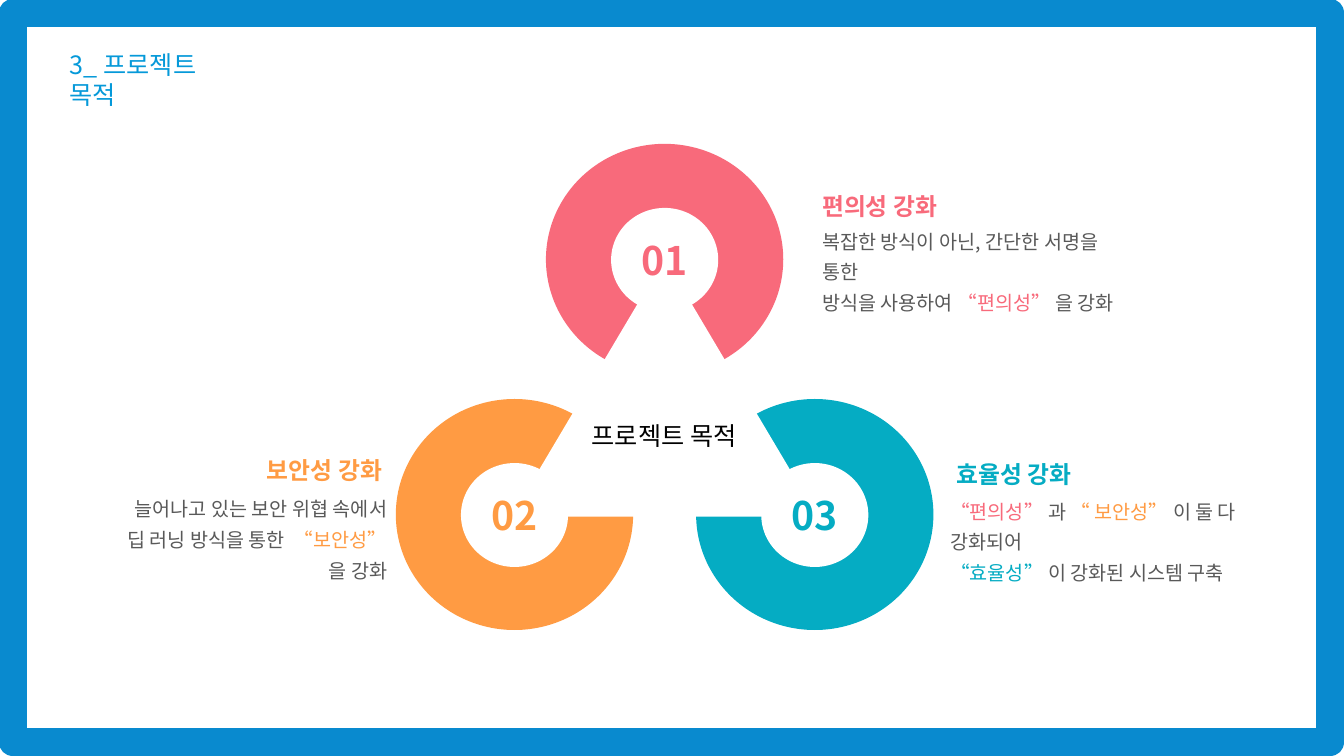
from lxml import etree
from pptx import Presentation
from pptx.dml.color import RGBColor as RGB
from pptx.enum.shapes import MSO_SHAPE as Shape
from pptx.enum.text import MSO_ANCHOR as Anchor, MSO_AUTO_SIZE as Auto, PP_ALIGN as Align
from pptx.oxml.ns import qn
from pptx.util import Pt

PX = 9525
FONT = "Noto Sans CJK KR"
COLORS = {
    "frame": "098ACF", "title": "0599D9", "pink": "F86A7B", "teal": "05ACC3",
    "orange": "FF9B43", "white": "FFFFFF", "black": "000000", "gray": "595959",
}

deck = Presentation()
deck.slide_width, deck.slide_height = 1280 * PX, 720 * PX
slide = deck.slides.add_slide(deck.slide_layouts[6])


def draw(kind, box, fill=None):
    shape = slide.shapes.add_shape(kind, *[n * PX for n in box])
    shape.shadow.inherit = False
    shape.line.fill.background()
    if fill:
        shape.fill.solid()
        shape.fill.fore_color.rgb = RGB.from_string(COLORS[fill])
    else:
        shape.fill.background()
    return shape


def write(box, lines, size, bold=False, align=Align.LEFT, anchor=Anchor.TOP,
          inset=0, space=None, grow=True, shape=None):
    """Each line is a list of (text, color) pairs."""
    if shape is None:
        shape = slide.shapes.add_textbox(*[n * PX for n in box])
    frame = shape.text_frame
    frame.word_wrap = True
    frame.auto_size = Auto.SHAPE_TO_FIT_TEXT if grow else Auto.NONE
    frame.vertical_anchor = anchor
    if inset is not None:
        frame.margin_left = frame.margin_right = inset
        frame.margin_top = frame.margin_bottom = inset
    for i, line in enumerate(lines):
        para = frame.add_paragraph() if i else frame.paragraphs[0]
        para.alignment = align
        if space:
            para.line_spacing = space
        for text, color in line:
            run = para.add_run()
            run.text = text
            font = run.font
            font.size, font.bold, font.name = Pt(size), bold, FONT
            font.color.rgb = RGB.from_string(COLORS[color])
            etree.SubElement(run._r.rPr, qn("a:ea"), typeface=FONT)


# Frame and title
frame = draw(Shape.RECTANGLE, (12, 12, 1255, 695))
frame.line.color.rgb = RGB.from_string(COLORS["frame"])
frame.line.width = Pt(20)
write((57, 42, 187, 38), [[("3_ 프로젝트 목적", "title")]], 18, inset=None)

# Three rings, opened by a white triangle
rings = [("01", "pink", 520, 137), ("03", "teal", 663, 380), ("02", "orange", 377, 380)]
for num, color, x, y in rings:
    draw(Shape.OVAL, (x, y, 226, 220), color)
draw(Shape.ISOSCELES_TRIANGLE, (487, 246, 292, 246), "white")
for num, color, x, y in rings:
    box = (x + 62, y + 61, 102, 99)
    hole = draw(Shape.OVAL, box, "white")
    write(box, [[(num, color)]], 28, True, Align.CENTER, Anchor.MIDDLE,
          grow=False, shape=hole)
write((539, 387, 187, 56), [[("프로젝트 목적", "black")]], 18,
      align=Align.CENTER, anchor=Anchor.MIDDLE, grow=False)

# Heading and body beside each ring
notes = [
    ("편의성 강화", "pink", Align.LEFT, (783, 182, 178, 28), (783, 212, 279, 57), [
        [("복잡한 방식이 아닌, 간단한 서명을 통한", "gray")],
        [("방식을 사용하여 ", "gray"), ("“편의성” ", "pink"), ("을 강화", "gray")],
    ]),
    ("효율성 강화", "teal", Align.LEFT, (911, 437, 117, 28), (905, 469, 279, 57), [
        [("“편의성” ", "pink"), ("과 ", "gray"), ("“ 보안성” ", "orange"),
         ("이 둘 다 강화되어", "gray")],
        [("“효율성” ", "teal"), ("이 강화된 시스템 구축", "gray")],
    ]),
    ("보안성 강화 ", "orange", Align.RIGHT, (191, 434, 178, 28), (111, 467, 258, 57), [
        [("늘어나고 있는 보안 위협 속에서", "gray")],
        [("딥 러닝 방식을 통한  ", "gray"), ("“보안성” ", "orange"), ("을 강화", "gray")],
    ]),
]
for head, color, align, top, body, lines in notes:
    write(body, lines, 14, align=align, space=1.3)
    write(top, [[(head, color)]], 17, True, align, Anchor.MIDDLE)

deck.save("out.pptx")
